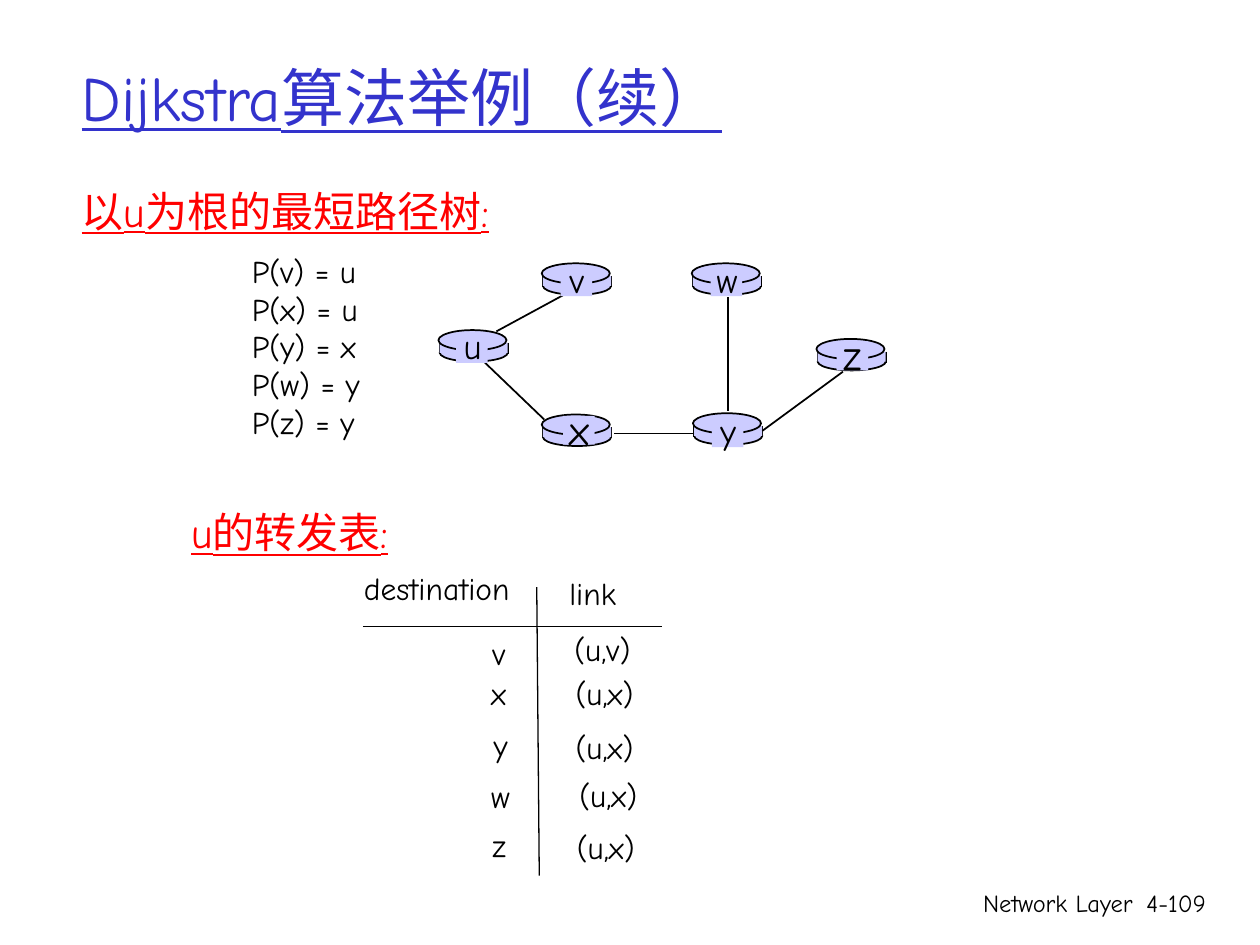
from typing import NamedTuple

from lxml import etree
from pptx import Presentation
from pptx.dml.color import RGBColor
from pptx.enum import shapes, text
from pptx.oxml.ns import qn
from pptx.util import Inches, Pt

BLACK = RGBColor(0x00, 0x00, 0x00)
BLUE = RGBColor(0x33, 0x33, 0xCC)
RED = RGBColor(0xFF, 0x00, 0x00)
LILAC = RGBColor(0xCC, 0xCC, 0xFF)
FONT = "Comic Neue"
LEFT, CENTER, RIGHT = text.PP_ALIGN.LEFT, text.PP_ALIGN.CENTER, text.PP_ALIGN.RIGHT
OVAL, RECT = shapes.MSO_SHAPE.OVAL, shapes.MSO_SHAPE.RECTANGLE
FIT, NO_FIT = text.MSO_AUTO_SIZE.SHAPE_TO_FIT_TEXT, text.MSO_AUTO_SIZE.NONE


class Router(NamedTuple):
    name: str
    x: float  # left of the upper rim
    y: float  # top of the upper rim
    label_x: float  # centre of the label
    label_y: float
    size: int = 20


class Line(NamedTuple):
    x1: float
    y1: float
    x2: float
    y2: float
    width: float = 1


class Row(NamedTuple):
    dest: str
    dest_x: float
    dest_y: float
    link: str
    link_x: float
    link_y: float


ROUTERS = [
    Router("u", 3.48, 2.62, 3.75, 2.75),
    Router("x", 4.3, 3.29, 4.6, 3.4, 24),
    Router("v", 4.3, 2.09, 4.58, 2.22),
    Router("w", 5.49, 2.09, 5.77, 2.22),
    Router("y", 5.5, 3.28, 5.78, 3.42),
    Router("z", 6.48, 2.69, 6.77, 2.81, 24),
]
LINK_UV = Line(3.94, 2.63, 4.53, 2.31)
LINKS = [
    Line(5.78, 2.36, 5.78, 3.26),
    Line(6.05, 3.42, 6.69, 2.95),
    Line(5.51, 3.44, 4.87, 3.44),
    Line(4.32, 3.33, 3.84, 2.87),
]
TABLE_RULES = [Line(4.26, 4.66, 4.28, 6.95, 0.75), Line(2.88, 4.97, 5.25, 4.97, 0.75)]
TABLE_ROWS = [
    Row("destination", 2.79, 4.47, "link", 4.42, 4.51),
    Row("v", 3.81, 4.98, "(u,v)", 4.46, 4.95),
    Row("x", 3.8, 5.3, "(u,x)", 4.47, 5.3),
    Row("y", 3.82, 5.71, "(u,x)", 4.47, 5.73),
    Row("w", 3.8, 6.12, "(u,x)", 4.5, 6.11),
    Row("z", 3.81, 6.51, "(u,x)", 4.48, 6.52),
]
WIDTHS = {"destination": 1.37, "link": 0.58, "(u,v)": 0.66, "(u,x)": 0.67, "w": 0.35}
PARENTS = ["P(v) = u", "P(x) = u", "P(y) = x", "P(w) = y", "P(z) = y"]


def add_text(s, lines: list[str], x: float, y: float, w: float, h: float, size: int,
             color: RGBColor = BLACK, align=LEFT, underline: bool = False,
             wrap: bool = False, anchor=text.MSO_ANCHOR.TOP) -> None:
    """Text box; an unwrapped one grows to hold its line."""
    tf = s.shapes.add_textbox(Inches(x), Inches(y), Inches(w), Inches(h)).text_frame
    frame_format = {"word_wrap": wrap, "auto_size": NO_FIT if wrap else FIT,
                    "vertical_anchor": anchor}
    for name, value in frame_format.items():
        setattr(tf, name, value)
    run_format = {"name": FONT, "size": Pt(size), "underline": underline or None}
    for i, line in enumerate(lines):
        p = tf.paragraphs[0] if i == 0 else tf.add_paragraph()
        p.alignment = align
        r = p.add_run()
        r.text = line
        for name, value in run_format.items():
            setattr(r.font, name, value)
        r.font.color.rgb = color


def add_line(s, line: Line) -> None:
    c = s.shapes.add_connector(shapes.MSO_CONNECTOR.STRAIGHT, Inches(line.x1),
                               Inches(line.y1), Inches(line.x2), Inches(line.y2))
    c.line.color.rgb = BLACK
    c.line.width = Pt(line.width)
    etree.SubElement(c._element.spPr, qn("a:effectLst"))


def add_filled(s, kind, x: float, y: float, w: float, h: float) -> None:
    """Lilac shape; only ovals are outlined."""
    sp = s.shapes.add_shape(kind, Inches(x), Inches(y), Inches(w), Inches(h))
    sp.shadow.inherit = False
    sp.fill.solid()
    sp.fill.fore_color.rgb = LILAC
    if kind == OVAL:
        sp.line.color.rgb = BLACK
        sp.line.width = Pt(1)
    else:
        sp.line.fill.background()


def add_router(s, router: Router) -> None:
    w = 0.54
    x, y = router.x + 0.01, router.y + 0.1
    add_filled(s, OVAL, x, y + 0.01, w, 0.14)
    for side in (x, x + w):
        add_line(s, Line(side, y, side, y + 0.09))
    add_filled(s, RECT, x, y, w, 0.08)
    add_filled(s, OVAL, router.x, router.y, w, 0.16)


def add_label(s, router: Router) -> None:
    x, y = router.label_x, router.label_y
    add_filled(s, RECT, x - 0.13, y - 0.1, 0.25, 0.23)
    w, h = 0.36, 0.5 if router.size == 24 else 0.44
    add_text(s, [router.name], x - w / 2, y - h / 2, w, h, router.size, align=CENTER)


def main() -> None:
    prs = Presentation()
    prs.slide_width, prs.slide_height = Inches(10), Inches(7.5)
    s = prs.slides.add_slide(prs.slide_layouts[6])

    add_text(s, ["Network Layer"], 5.92, 7, 3.17, 0.5, 14, align=RIGHT, wrap=True)
    add_text(s, ["4-109"], 8.93, 7, 0.74, 0.5, 14, align=RIGHT, wrap=True)
    add_text(s, ["Dijkstra算法举例（续）"], 0.55, 0.14, 8.5, 1.25, 36, BLUE,
             underline=True, wrap=True, anchor=text.MSO_ANCHOR.MIDDLE)

    add_line(s, LINK_UV)
    for router in ROUTERS:
        add_router(s, router)
    for link in LINKS:
        add_line(s, link)
    for router in ROUTERS:
        add_label(s, router)

    add_text(s, ["以u为根的最短路径树:"], 0.55, 1.42, 3.68, 0.5, 24, RED, underline=True)
    add_text(s, PARENTS, 1.9, 1.95, 1.11, 1.6, 18, wrap=True)

    add_text(s, ["u的转发表:"], 1.42, 3.97, 1.93, 0.5, 24, RED, underline=True)
    for rule in TABLE_RULES:
        add_line(s, rule)
    for row in TABLE_ROWS:
        for word, x, y in (row[:3], row[3:]):
            add_text(s, [word], x, y, WIDTHS.get(word, 0.31), 0.4, 18)

    prs.save("out.pptx")


if __name__ == "__main__":
    main()
